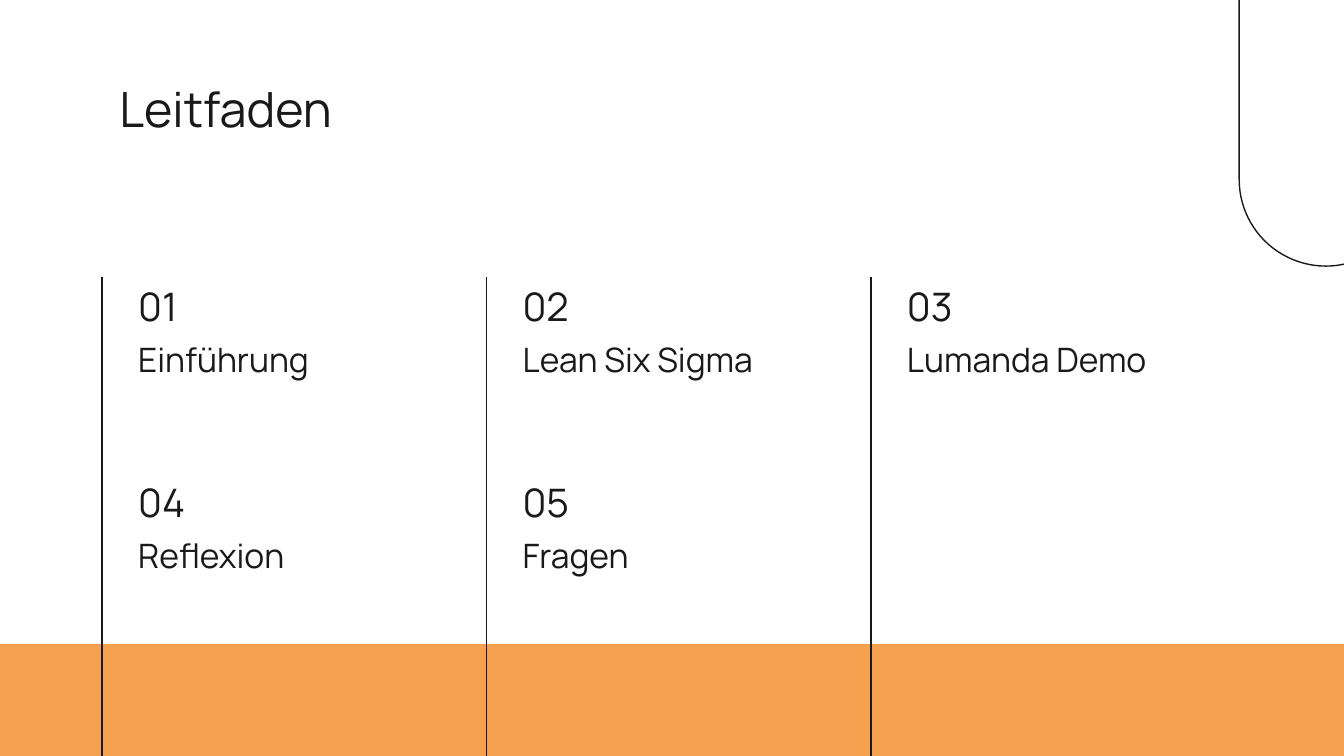
from lxml import etree
from pptx import Presentation
from pptx.dml.color import RGBColor
from pptx.enum.shapes import MSO_CONNECTOR, MSO_SHAPE
from pptx.enum.text import MSO_ANCHOR
from pptx.oxml.ns import qn
from pptx.util import Inches, Pt

RECTANGLE = MSO_SHAPE.RECTANGLE
ROUNDED = MSO_SHAPE.ROUNDED_RECTANGLE
STRAIGHT = MSO_CONNECTOR.STRAIGHT
TOP, BOTTOM = MSO_ANCHOR.TOP, MSO_ANCHOR.BOTTOM

TITLE = "Leitfaden"
TOPICS = ["Einführung", "Lean Six Sigma", "Lumanda Demo", "Reflexion", "Fragen"]

COLORS = {"ink": "191919", "band": "F5A04F", "paper": "FFFFFF"}
FONT = "Manrope"
SLIDE_WIDTH = 10
SLIDE_HEIGHT = SLIDE_WIDTH * 9 / 16
BAND_TOP = 4.79
COLUMNS = 3
GRID_LEFT, GRID_TOP = 0.76, 2.06
COLUMN_WIDTH, ROW_HEIGHT = 2.86, 1.46
TEXT_INDENT, TOPIC_OFFSET = 0.17, 0.36
LINE_WIDTH = 0.75


def color(name):
    return RGBColor.from_string(COLORS[name])


def add_text(slide, text, box, size, anchor=TOP):
    shape = slide.shapes.add_textbox(*map(Inches, box))
    frame = shape.text_frame
    frame.word_wrap = True
    frame.vertical_anchor = anchor
    frame.margin_left = frame.margin_right = Inches(0.1)
    frame.margin_top = frame.margin_bottom = Inches(0.1)
    frame.text = text
    font = frame.paragraphs[0].runs[0].font
    font.name = FONT
    font.size = Pt(size)
    font.color.rgb = color("ink")


def add_decoration(slide):
    band = slide.shapes.add_shape(
        RECTANGLE, 0, Inches(BAND_TOP),
        Inches(SLIDE_WIDTH), Inches(SLIDE_HEIGHT - BAND_TOP))
    band.shadow.inherit = False
    band.fill.solid()
    band.fill.fore_color.rgb = color("band")
    band.line.fill.background()

    capsule = slide.shapes.add_shape(
        ROUNDED, *map(Inches, (9.22, -2.54, 1.29, 4.52)))
    capsule.adjustments[0] = 0.5
    capsule.shadow.inherit = False
    capsule.fill.background()
    capsule.line.color.rgb = color("ink")
    capsule.line.width = Pt(LINE_WIDTH)


def add_topic(slide, index, topic):
    row, column = divmod(index, COLUMNS)
    left = GRID_LEFT + column * COLUMN_WIDTH + TEXT_INDENT
    top = GRID_TOP + row * ROW_HEIGHT
    add_text(slide, f"{index + 1:02d}", (left, top, 0.8, 0.49), 21, BOTTOM)
    add_text(slide, topic, (left, top + TOPIC_OFFSET, 2.52, 0.56), 18)


def add_column_line(slide, column):
    x = Inches(GRID_LEFT + column * COLUMN_WIDTH)
    line = slide.shapes.add_connector(
        STRAIGHT, x, Inches(GRID_TOP), x, Inches(SLIDE_HEIGHT))
    line.line.color.rgb = color("ink")
    line.line.width = Pt(LINE_WIDTH)
    etree.SubElement(line._element.spPr, qn("a:effectLst"))


def main():
    presentation = Presentation()
    presentation.slide_width = Inches(SLIDE_WIDTH)
    presentation.slide_height = Inches(SLIDE_HEIGHT)
    slide = presentation.slides.add_slide(presentation.slide_layouts[6])
    slide.background.fill.solid()
    slide.background.fill.fore_color.rgb = color("paper")

    add_decoration(slide)
    add_text(slide, TITLE, (0.79, 0.49, 3.5, 1.4), 26)
    for index, topic in enumerate(TOPICS):
        add_topic(slide, index, topic)
    for column in range(COLUMNS):
        add_column_line(slide, column)
    presentation.save("out.pptx")


if __name__ == "__main__":
    main()
